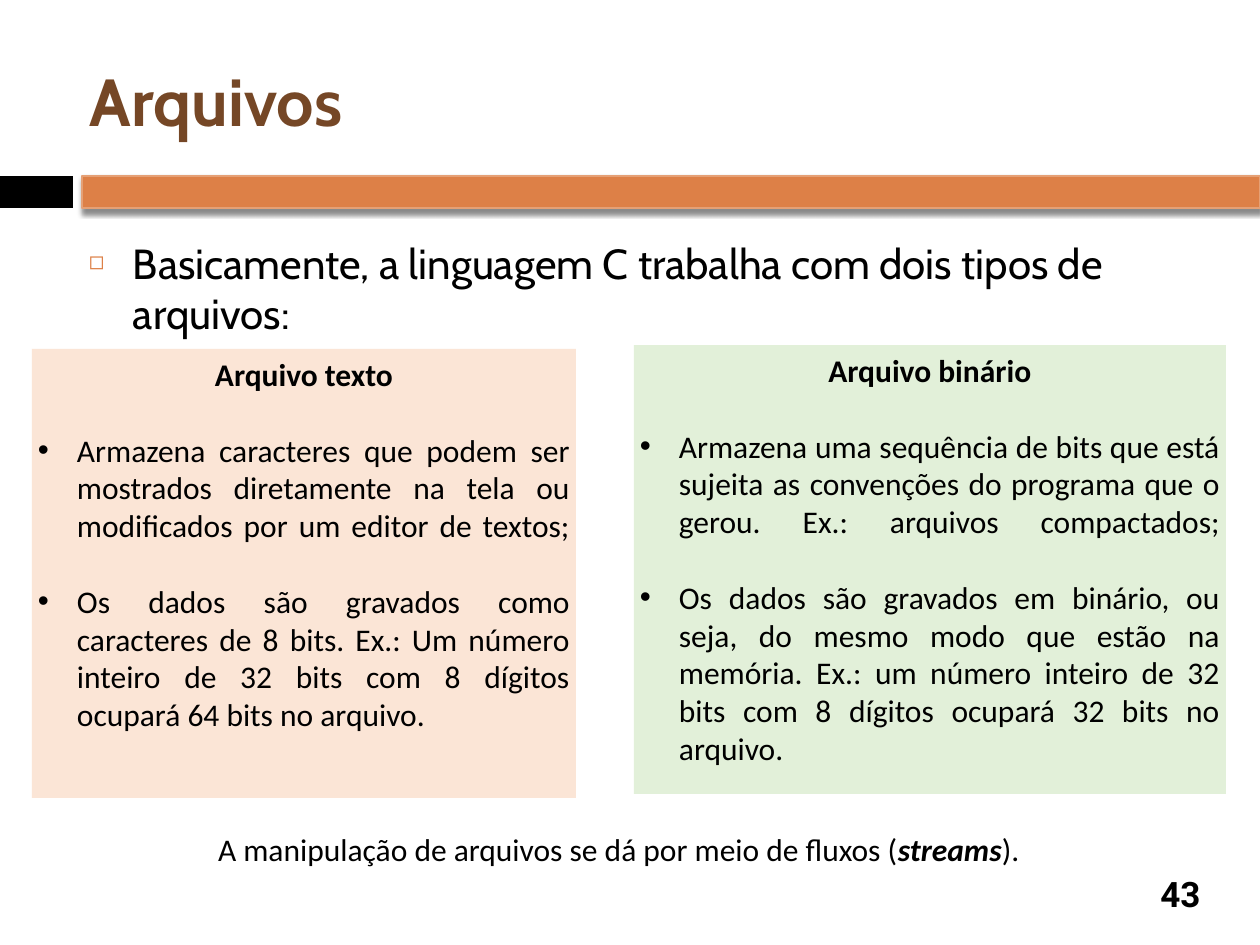
from lxml import etree
from pptx import Presentation
from pptx.dml.color import RGBColor
from pptx.enum.shapes import MSO_SHAPE
from pptx.enum.text import MSO_ANCHOR, MSO_AUTO_SIZE, PP_ALIGN
from pptx.oxml.ns import qn
from pptx.util import Emu, Pt

RECTANGLE = MSO_SHAPE.RECTANGLE
TOP, MIDDLE = MSO_ANCHOR.TOP, MSO_ANCHOR.MIDDLE
LEFT, CENTER, JUSTIFY = PP_ALIGN.LEFT, PP_ALIGN.CENTER, PP_ALIGN.JUSTIFY
NO_AUTOFIT = MSO_AUTO_SIZE.NONE

PX = 914400 // 126
INSET = 6

COLORS = {
    "black": "000000",
    "brown": "754726",
    "orange": "DD8047",
    "orange_edge": "E5A075",
    "peach": "FBE5D6",
    "green": "E2F0D9",
}

TITLE = "Arquivos"
INTRO = "Basicamente, a linguagem C trabalha com dois tipos de arquivos:"
PANELS = [
    {
        "box": (32, 349, 544, 449),
        "fill": "peach",
        "heading": "Arquivo texto",
        "items": [
            "Armazena caracteres que podem ser mostrados diretamente na tela ou "
            "modificados por um editor de textos;",
            "Os dados são gravados como caracteres de 8 bits. Ex.: Um número "
            "inteiro de 32 bits com 8 dígitos ocupará 64 bits no arquivo.",
        ],
    },
    {
        "box": (634, 345, 592, 449),
        "fill": "green",
        "heading": "Arquivo binário",
        "items": [
            "Armazena uma sequência de bits que está sujeita as convenções do "
            "programa que o gerou. Ex.: arquivos compactados;",
            "Os dados são gravados em binário, ou seja, do mesmo modo que estão "
            "na memória. Ex.: um número inteiro de 32 bits com 8 dígitos "
            "ocupará 32 bits no arquivo.",
        ],
    },
]
FOOTNOTE = [
    ("A manipulação de arquivos se dá por meio de fluxos (", False),
    ("streams", True),
    (").", False),
]
PAGE_NUMBER = "43"


def px(*lengths):
    return [Emu(length * PX) for length in lengths]


def color(name):
    return RGBColor.from_string(COLORS[name])


def add_bar(slide, box, fill):
    bar = slide.shapes.add_shape(RECTANGLE, *px(*box))
    bar.shadow.inherit = False
    bar.fill.solid()
    bar.fill.fore_color.rgb = color(fill)
    bar.line.fill.background()
    return bar


def add_drop_shadow(shape):
    effects = shape._element.spPr.find(qn("a:effectLst"))
    shadow = etree.SubElement(
        effects, qn("a:outerShdw"), blurRad=str(Pt(3)), dist=str(Pt(2.4)),
        dir="5400000", algn="ctr", rotWithShape="0")
    tint = etree.SubElement(shadow, qn("a:srgbClr"), val=COLORS["black"])
    etree.SubElement(tint, qn("a:alpha"), val="45000")


def prepare_frame(shape, anchor=TOP, wrap=True):
    frame = shape.text_frame
    frame.auto_size = NO_AUTOFIT
    frame.word_wrap = wrap
    frame.vertical_anchor = anchor
    frame.margin_left, frame.margin_top, frame.margin_right, frame.margin_bottom = px(*[INSET] * 4)
    return frame


def add_run(paragraph, text, font, size, fill="black", bold=False, italic=False):
    run = paragraph.add_run()
    run.text = text
    run.font.name = font
    run.font.size = Pt(size)
    run.font.bold = bold
    run.font.italic = italic
    run.font.color.rgb = color(fill)


def set_bullet(paragraph, character, indent, fill=None, percent=100):
    properties = paragraph._p.get_or_add_pPr()
    properties.set("marL", str(indent * PX))
    properties.set("indent", str(-indent * PX))
    if fill:
        bullet_color = etree.SubElement(properties, qn("a:buClr"))
        etree.SubElement(bullet_color, qn("a:srgbClr"), val=COLORS[fill])
    etree.SubElement(properties, qn("a:buSzPct"), val=str(percent * 1000))
    etree.SubElement(properties, qn("a:buFont"), typeface="Arial")
    etree.SubElement(properties, qn("a:buChar"), char=character)


def place(shape, box):
    shape.left, shape.top, shape.width, shape.height = px(*box)


def add_panel(slide, panel):
    frame = prepare_frame(add_bar(slide, panel["box"], panel["fill"]))
    heading = frame.paragraphs[0]
    heading.alignment = CENTER
    heading.space_after = Pt(21.6)
    add_run(heading, panel["heading"], "Calibri", 18, bold=True)
    for item in panel["items"]:
        paragraph = frame.add_paragraph()
        paragraph.alignment = JUSTIFY
        set_bullet(paragraph, "•", 39)
        add_run(paragraph, item, "Calibri", 18)
        if item != panel["items"][-1]:
            # The break also justifies the last line of the item.
            paragraph.add_line_break()
            paragraph._p[-1].get_or_add_rPr().set("sz", "1800")


def main():
    presentation = Presentation()
    presentation.slide_width, presentation.slide_height = px(1260, 945)
    slide = presentation.slides.add_slide(presentation.slide_layouts[1])
    title, body = slide.placeholders

    add_bar(slide, (0, 176, 73, 32), "black")
    orange_bar = add_bar(slide, (82, 176, 1178, 32), "orange")
    orange_bar.line.color.rgb = color("orange_edge")
    orange_bar.line.width = Pt(1.5)
    add_drop_shadow(orange_bar)

    place(title, (84, 32, 1124, 136))
    paragraph = prepare_frame(title, MIDDLE).paragraphs[0]
    paragraph.alignment = LEFT
    add_run(paragraph, TITLE, "Cabin", 38, "brown", bold=True)

    place(body, (83, 231, 1125, 665))
    paragraph = prepare_frame(body).paragraphs[0]
    paragraph.space_before = Pt(7)
    set_bullet(paragraph, "◻", 44, "orange", 60)
    add_run(paragraph, INTRO, "Cabin", 24)

    for panel in PANELS:
        add_panel(slide, panel)

    footnote = slide.shapes.add_textbox(*px(212, 824, 815, 46))
    paragraph = prepare_frame(footnote, wrap=False).paragraphs[0]
    for text, emphasis in FOOTNOTE:
        add_run(paragraph, text, "Calibri", 18, bold=emphasis, italic=emphasis)

    number = slide.shapes.add_textbox(*px(1144, 868, 73, 52))
    paragraph = prepare_frame(number, MIDDLE).paragraphs[0]
    paragraph.alignment = CENTER
    add_run(paragraph, PAGE_NUMBER, "Roboto", 20, bold=True)

    presentation.save("out.pptx")


if __name__ == "__main__":
    main()
